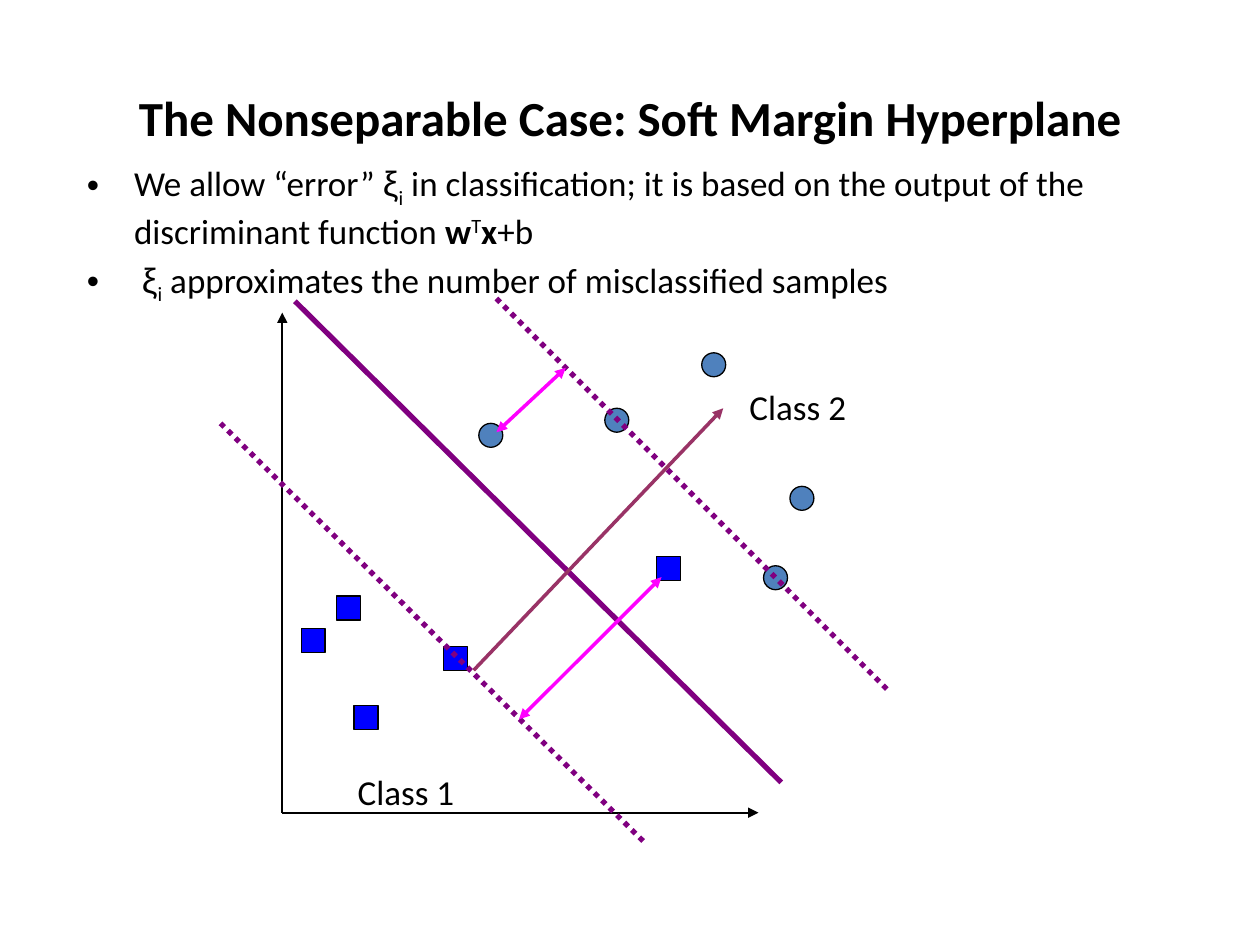
from lxml.etree import SubElement as Sub
from pptx import Presentation
from pptx.dml.color import RGBColor
from pptx.enum.dml import MSO_LINE as Dash
from pptx.enum.shapes import MSO_CONNECTOR as Conn, MSO_SHAPE as Kind
from pptx.enum.text import MSO_ANCHOR as Anchor, PP_ALIGN as Align
from pptx.oxml.ns import qn
from pptx.util import Pt

BLACK = RGBColor(0x00, 0x00, 0x00)
STEEL = RGBColor(0x4F, 0x81, 0xBD)
BLUE = RGBColor(0x00, 0x00, 0xFF)
PURPLE = RGBColor(0x80, 0x00, 0x80)
PLUM = RGBColor(0x99, 0x33, 0x66)
PINK = RGBColor(0xFF, 0x00, 0xFF)
SIDE = 13.7

deck = Presentation()
deck.slide_width, deck.slide_height = Pt(720), Pt(540)
slide = deck.slides.add_slide(deck.slide_layouts[6])
shapes = slide.shapes


def write(para, runs, size):
    for text, extra in runs:
        run = para.add_run()
        run.text = text
        look = {"name": "Calibri", "size": Pt(size), **extra}
        base = look.pop("base", None)
        for key, value in look.items():
            setattr(run.font, key, value)
        run.font.color.rgb = BLACK
        if base:
            run._r.get_or_add_rPr().set("baseline", str(base * 1000))


def draw(start, end, color, width, dash=None, heads=()):
    line = shapes.add_connector(Conn.STRAIGHT, *map(Pt, start + end))
    look = {"width": Pt(width), "dash_style": dash}
    line.line.color.rgb = color
    for key, value in look.items():
        setattr(line.line, key, value)
    props = line._element.spPr
    for head in heads:
        Sub(props.get_or_add_ln(), qn("a:" + head), type="triangle")
    Sub(props, qn("a:effectLst"))


title = shapes.add_textbox(Pt(36), Pt(21.6), Pt(648), Pt(90)).text_frame
title.word_wrap = True
title.vertical_anchor = Anchor.MIDDLE
title.paragraphs[0].alignment = Align.CENTER
write(title.paragraphs[0], [("The Nonseparable Case: Soft Margin Hyperplane", {"bold": True})], 28)

xi = [("ξ", {"name": "Arial"}), ("i", {"base": -25})]
points = [
    [
        ("We allow “error” ", {}),
        *xi,
        (" in classification; it is based on the output of the discriminant function ", {}),
        ("w", {"bold": True}),
        ("T", {"base": 30}),
        ("x", {"bold": True}),
        ("+b", {}),
    ],
    [(" ", {}), *xi, (" approximates the number of misclassified samples", {})],
]
body = shapes.add_textbox(Pt(42.5), Pt(88.6), Pt(641.5), Pt(411.8)).text_frame
body.word_wrap = True
for num, runs in enumerate(points):
    para = body.add_paragraph() if num else body.paragraphs[0]
    if num:
        para.space_before = Pt(4)
    props = para._p.get_or_add_pPr()
    props.set("marL", str(Pt(27)))
    props.set("indent", str(Pt(-27)))
    Sub(props, qn("a:buFont"), typeface="Arial")
    Sub(props, qn("a:buChar"), char="•")
    write(para, runs, 20)

zero = (161.3, 464.4)
for tip in [(161.3, 178.6), (433.4, 464.4)]:
    draw(zero, tip, BLACK, 1, heads=["tailEnd"])

dots = [(345.6, 233.3), (401, 201.6), (436.3, 323.3), (273.6, 241.9), (451.4, 277.9)]
boxes = [(192.2, 340.6), (375.1, 318.2), (253.4, 369.4), (202.3, 403.2), (172.1, 359.3)]
for kind, color, spots in [(Kind.OVAL, STEEL, dots), (Kind.RECTANGLE, BLUE, boxes)]:
    for left, top in spots:
        mark = shapes.add_shape(kind, Pt(left), Pt(top), Pt(SIDE), Pt(SIDE))
        mark.shadow.inherit = False
        mark.fill.solid()
        mark.fill.fore_color.rgb = color
        mark.line.color.rgb = BLACK
        mark.line.width = Pt(0.75)

for text, left, top in [("Class 1", 197.3, 437), ("Class 2", 421.2, 216.7)]:
    label = shapes.add_textbox(Pt(left), Pt(top), Pt(76.3), Pt(31)).text_frame
    label.word_wrap = False
    write(label.paragraphs[0], [(text, {})], 20)

draw((283.7, 170.6), (508.3, 395.3), PURPLE, 3, Dash.ROUND_DOT)
draw((126, 241.9), (368.6, 481.7), PURPLE, 3, Dash.ROUND_DOT)
draw((168.5, 172.1), (446.4, 447.1), PURPLE, 3)
draw((270.7, 383), (413.3, 233.3), PLUM, 2, heads=["tailEnd"])
for start, end in [((378, 329.8), (296.6, 411.1)), ((323.3, 210.2), (283.7, 247))]:
    draw(start, end, PINK, 2, heads=["headEnd", "tailEnd"])

deck.save("out.pptx")
